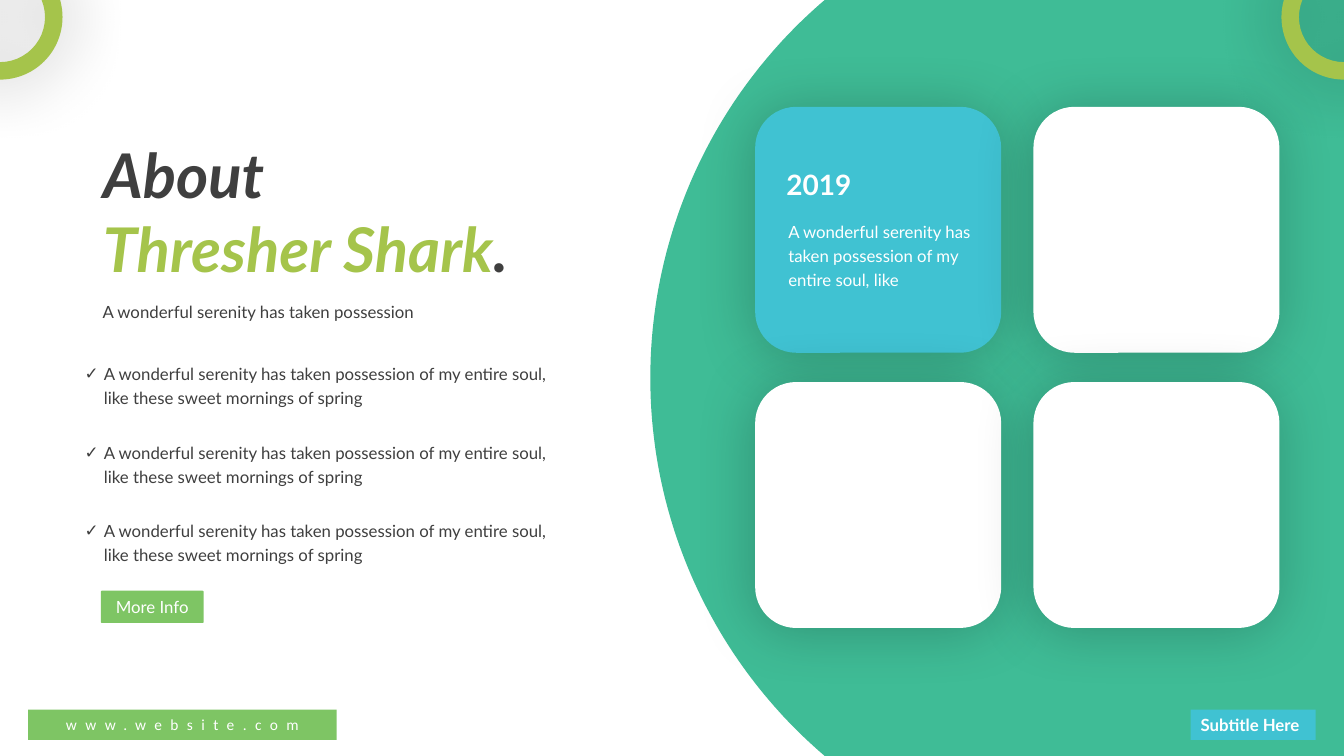
import math

import pptx
import pptx.dml.color
import pptx.enum.shapes
import pptx.enum.text
import pptx.oxml
import pptx.util
from pptx.util import Inches

SHAPES = pptx.enum.shapes.MSO_SHAPE
ALIGN = pptx.enum.text.PP_ALIGN
ANCHOR = pptx.enum.text.MSO_ANCHOR
DRAWING_NS = 'xmlns:a="http://schemas.openxmlformats.org/drawingml/2006/main"'

GREY, WHITE = "3F3F3F", "FFFFFF"
LIME, GREEN, TEAL, BLUE = "A5C44B", "7EC564", "3FBC96", "40C2D2"

SLIDE_SIZE = (13.33, 7.5)
TITLE = [[("About", GREY)], [("Thresher Shark", LIME), (".", GREY)]]
INTRO = "A wonderful serenity has taken possession"
POINTS = ["A wonderful serenity has taken possession of my entire soul, "
          "like these sweet mornings of spring"] * 3
YEAR = "2019"
YEAR_TEXT = "A wonderful serenity has taken possession of my entire soul, like"

ARC_LEFT, ARC_RADIUS, ARC_STEPS = 6.45, 4.93, 120
CARD_COLUMNS, CARD_ROWS, CARD_SIZE = (7.49, 10.25), (1.06, 3.79), 2.44
RING_SIZE, RING_TOP = 1.24, -0.45


def colour(hex_string):
    return pptx.dml.color.RGBColor.from_string(hex_string)


def paint(shape, fill):
    shape.shadow.inherit = False
    shape.fill.solid()
    shape.fill.fore_color.rgb = colour(fill)
    shape.line.fill.background()


def add_block(slide, kind, box, fill, adjustment=None):
    block = slide.shapes.add_shape(kind, *map(Inches, box))
    paint(block, fill)
    if adjustment is not None:
        block.adjustments[0] = adjustment
    return block


def cast_shadow(shape, alpha, blur, distance, angle):
    effects = shape._element.spPr.find(pptx.oxml.ns.qn("a:effectLst"))
    effects.append(pptx.oxml.parse_xml(
        f'<a:outerShdw {DRAWING_NS} blurRad="{pptx.util.Pt(blur)}" '
        f'dist="{pptx.util.Pt(distance)}" dir="{angle * 60000}" algn="ctr" rotWithShape="0">'
        f'<a:srgbClr val="000000"><a:alpha val="{alpha * 1000}"/></a:srgbClr></a:outerShdw>'))


def style(paragraph, size, fill=WHITE, bold=False, font="Lato", align=ALIGN.LEFT, spacing=1.0):
    paragraph.alignment = align
    paragraph.line_spacing = spacing
    paragraph.font.name = font
    paragraph.font.size = pptx.util.Pt(size)
    paragraph.font.bold = bold
    paragraph.font.color.rgb = colour(fill)


def write(shape, text, size, anchor=ANCHOR.TOP, wrap=True, **look):
    frame = shape.text_frame
    frame.word_wrap = wrap
    frame.vertical_anchor = anchor
    frame.text = text
    style(frame.paragraphs[0], size, **look)
    return frame.paragraphs[0]


def place(placeholder, box):
    placeholder.left, placeholder.top, placeholder.width, placeholder.height = map(Inches, box)
    frame = placeholder.text_frame
    frame.word_wrap = True
    frame.auto_size = pptx.enum.text.MSO_AUTO_SIZE.NONE
    frame.vertical_anchor = ANCHOR.TOP
    return frame


def add_backdrop(slide):
    width, height = SLIDE_SIZE
    half = math.asin(height / 2 / ARC_RADIUS)
    angles = [half - 2 * half * step / ARC_STEPS for step in range(ARC_STEPS + 1)]
    arc = [(ARC_LEFT + ARC_RADIUS * (1 - math.cos(angle)),
            height / 2 + ARC_RADIUS * math.sin(angle)) for angle in angles]
    outline = [(Inches(x), Inches(y)) for x, y in [(width, 0), (width, height)] + arc]
    builder = slide.shapes.build_freeform(*outline[0])
    builder.add_line_segments(outline[1:], close=True)
    paint(builder.convert_to_shape(), TEAL)


def add_cards(slide):
    for top in CARD_ROWS:
        for left in CARD_COLUMNS:
            first = (left, top) == (CARD_COLUMNS[0], CARD_ROWS[0])
            card = add_block(slide, SHAPES.ROUNDED_RECTANGLE, (left, top, CARD_SIZE, CARD_SIZE),
                             BLUE if first else WHITE)
            cast_shadow(card, 21, 42, 3, 135)


def add_title(slide):
    frame = place(slide.shapes.title, (0.92, 1.31, 5.22, 1.58))
    for index, line in enumerate(TITLE):
        paragraph = frame.add_paragraph() if index else frame.paragraphs[0]
        style(paragraph, 44, GREY, bold=True)
        paragraph.font.italic = True
        for words, fill in line:
            run = paragraph.add_run()
            run.text = words
            run.font.color.rgb = colour(fill)


def add_points(slide):
    frame = place(slide.placeholders[1], (0.74, 3.52, 5, 2.12))
    for index, point in enumerate(POINTS):
        paragraph = frame.add_paragraph() if index else frame.paragraphs[0]
        paragraph.text = point
        properties = paragraph._p.get_or_add_pPr()
        properties.set("marL", str(Inches(0.19)))
        properties.set("indent", str(Inches(-0.19)))
        properties.append(pptx.oxml.parse_xml(f'<a:buChar {DRAWING_NS} char="✓"/>'))
        style(paragraph, 12, GREY, spacing=1.2)
        paragraph.space_before = pptx.util.Pt(21.6 if index else 0)


def add_text(slide, box, text, size, **look):
    write(slide.shapes.add_textbox(*map(Inches, box)), text, size, **look)


def main():
    deck = pptx.Presentation()
    deck.slide_width, deck.slide_height = map(Inches, SLIDE_SIZE)
    slide = deck.slides.add_slide(deck.slide_layouts[1])

    add_backdrop(slide)
    add_cards(slide)
    add_title(slide)
    add_text(slide, (0.92, 2.84, 4.42, 0.37), INTRO, 12, fill=GREY, spacing=1.5)
    add_points(slide)
    add_text(slide, (7.72, 2.11, 2.06, 0.81), YEAR_TEXT, 12, spacing=1.2)
    add_text(slide, (7.7, 1.61, 1.81, 0.44), YEAR, 20, bold=True)

    more_info = add_block(slide, SHAPES.ROUNDED_RECTANGLE, (1, 5.86, 1.02, 0.32), GREEN, 0.04)
    write(more_info, "More Info", 12, anchor=ANCHOR.MIDDLE, align=ALIGN.CENTER)
    subtitle = add_block(slide, SHAPES.RECTANGLE, (11.81, 7.04, 1.24, 0.3), BLUE)
    write(subtitle, "Subtitle Here", 12, wrap=False, bold=True)
    website = add_block(slide, SHAPES.ROUNDED_RECTANGLE, (0.28, 7.04, 3.06, 0.3), GREEN, 0)
    address = write(website, "www.website.com", 11, anchor=ANCHOR.MIDDLE,
                    font="Calibri", align=ALIGN.CENTER)
    address.runs[0].font._element.set("spc", "600")

    for centre in (0, SLIDE_SIZE[0]):
        ring = add_block(slide, SHAPES.DONUT,
                         (centre - RING_SIZE / 2, RING_TOP, RING_SIZE, RING_SIZE), LIME, 0.14)
        cast_shadow(ring, 33, 49, 0, 0)

    deck.save("out.pptx")


if __name__ == "__main__":
    main()
